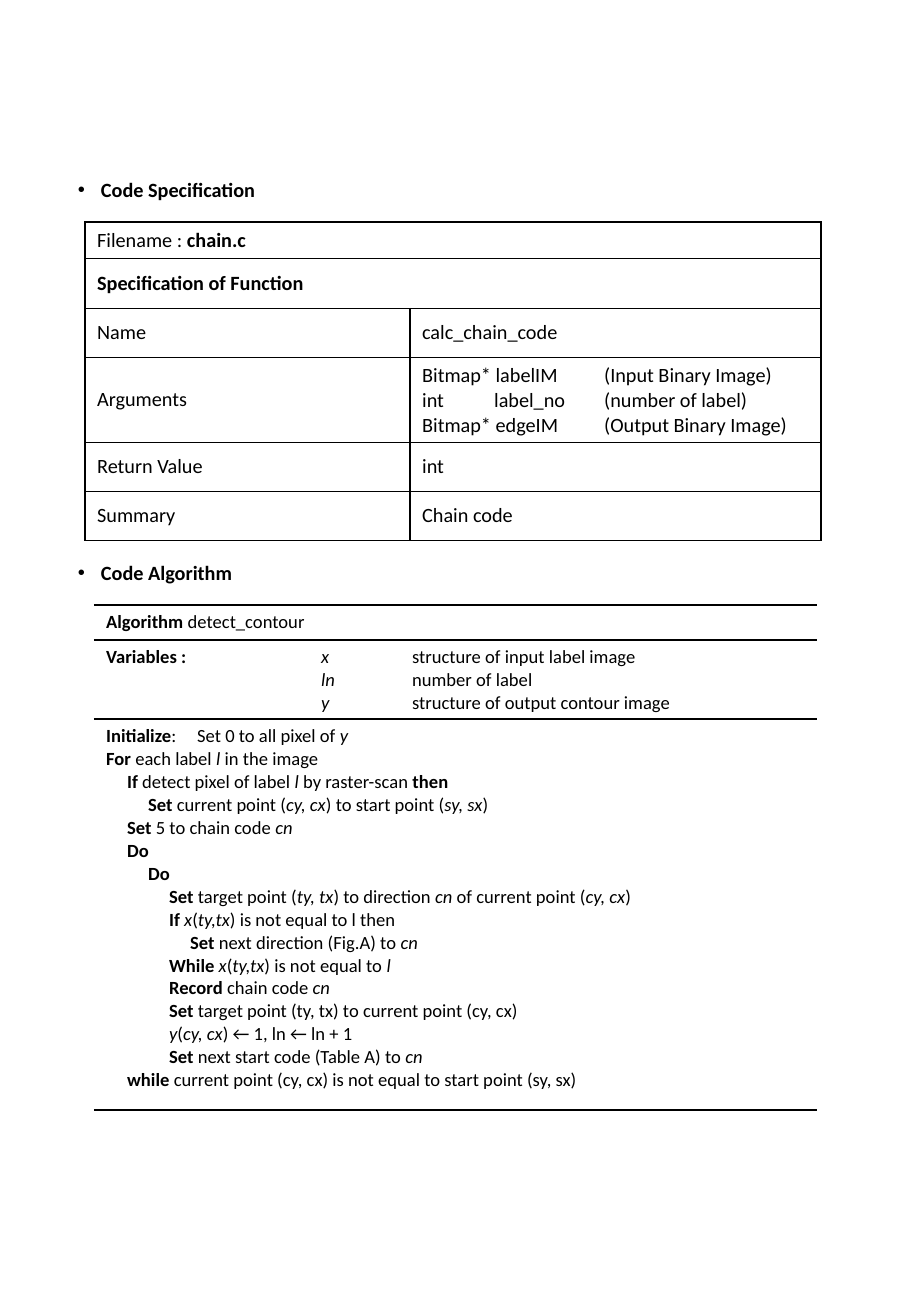
from lxml.etree import SubElement
from pptx import Presentation
from pptx.dml.color import RGBColor
from pptx.enum.text import MSO_ANCHOR as ANCHOR
from pptx.oxml import parse_xml
from pptx.oxml.ns import nsdecls, qn
from pptx.util import Pt

PX = 7526  # EMU per px
FONT = "Calibri"
BLACK = "000000"
PLAIN_TABLE = "{2D5ABB26-0587-4C30-8999-92F81FD0307C}"
TAB = 91
LEVEL = 21

# Markup: ^bold^, ~italic~; algorithm lines carry their indent level
SPECIFICATION = [
    ["Filename : ^chain.c^"],
    ["^Specification of Function^"],
    ["Name", "calc_chain_code"],
    ["Arguments", "Bitmap* labelIM\t(Input Binary Image)\n"
                  "int\tlabel_no\t(number of label)\n"
                  "Bitmap* edgeIM\t(Output Binary Image)"],
    ["Return Value", "int"],
    ["Summary", "Chain code"],
]
VARIABLES = ("~x~ \tstructure of input label image\n"
             "~ln~ \tnumber of label\n"
             "~y~ \tstructure of output contour image")
STEPS = [
    (0, "^Initialize^: \tSet 0 to all pixel of ~y~"),
    (0, "^For^ each label ~l~ in the image"),
    (1, "^If^ detect pixel of label ~l~ by raster-scan ^then^"),
    (2, "^Set^ current point (~cy, cx~) to start point (~sy, sx~)"),
    (1, "^Set^ 5 to chain code ~cn~"),
    (1, "^Do^"),
    (2, "^Do^"),
    (3, "^Set^ target point (~ty, tx~) to direction ~cn~ of current point (~cy, cx~)"),
    (3, "^If^ ~x~(~ty,tx~) is not equal to l then"),
    (4, "^Set^ next direction (Fig.A) to ~cn~"),
    (3, "^While^ ~x~(~ty,tx~) is not equal to ~l~"),
    (3, "^Record^ chain code ~cn~"),
    (3, "^Set^ target point (ty, tx) to current point (cy, cx)"),
    (3, "~y~(~cy, cx~) ← 1, ln ← ln + 1"),
    (3, "^Set^ next start code (Table A) to ~cn~"),
    (1, "^while^ current point (cy, cx) is not equal to start point (sy, sx)"),
]


def px(n):
    return n * PX


def color(hex_code):
    return RGBColor.from_string(hex_code)


def write(tf, text, size=12, levels=None, tabs=(), bullet=None):
    """Fill a text frame with one paragraph per line of marked-up text."""
    for n, line in enumerate(text.split("\n")):
        p = tf.paragraphs[0] if n == 0 else tf.add_paragraph()
        pPr = p._p.get_or_add_pPr()
        if levels and levels[n]:
            pPr.set("marL", str(px(levels[n] * LEVEL)))
        if bullet:
            pPr.set("marL", str(px(23)))
            pPr.set("indent", str(px(-23)))
            SubElement(pPr, qn("a:buFont"), typeface="Arial")
            SubElement(pPr, qn("a:buChar"), char=bullet)
        if tabs:
            tab_list = SubElement(pPr, qn("a:tabLst"))
            for pos in tabs:
                SubElement(tab_list, qn("a:tab"), pos=str(px(pos)), algn="l")
        for i, part in enumerate(line.split("^")):
            for j, piece in enumerate(part.split("~")):
                if piece:
                    r = p.add_run()
                    r.text = piece
                    r.font.name, r.font.size = FONT, Pt(size)
                    r.font.bold, r.font.italic = i % 2 == 1, j % 2 == 1
                    r.font.color.rgb = color(BLACK)


def border(cell, sides):
    """Draw 1 pt lines on the given sides, named by L, R, T and B."""
    cell.fill.background()
    tcPr = cell._tc.get_or_add_tcPr()
    for n, side in enumerate(s for s in "LRTB" if s in sides):
        tcPr.insert(n, parse_xml(
            f'<a:ln{side} {nsdecls("a")} w="{Pt(1)}"><a:solidFill>'
            f'<a:srgbClr val="{BLACK}"/></a:solidFill></a:ln{side}>'))


def add_plain_table(slide, x, y, widths, heights):
    table = slide.shapes.add_table(len(heights), len(widths), px(x), px(y),
                                   px(sum(widths)), px(sum(heights))).table
    table.first_row = table.horz_banding = False
    table._tbl.tblPr.find(qn("a:tableStyleId")).text = PLAIN_TABLE
    for col, w in zip(table.columns, widths):
        col.width = px(w)
    for row, h in zip(table.rows, heights):
        row.height = px(h)
    return table


def heading(slide, x, y, w, h, text):
    tf = slide.shapes.add_textbox(px(x), px(y), px(w), px(h)).text_frame
    tf.word_wrap = True
    write(tf, f"^{text}^", bullet="•")


def specification(slide, x, y, w, h):
    heading(slide, x, y, w, h, "Code Specification")
    table = add_plain_table(slide, x + 19, y + 51, [325, 411],
                            [36, 50, 49, 85, 49, 49])
    for r, texts in enumerate(SPECIFICATION):
        if len(texts) == 1:
            table.cell(r, 0).merge(table.cell(r, 1))
        for c in range(2):
            cell = table.cell(r, c)
            border(cell, "RTB" if cell.is_spanned else "LRTB")
            cell.vertical_anchor = ANCHOR.MIDDLE
        for c, text in enumerate(texts):
            tabs = (72, 2 * TAB) if "\t" in text else ()
            write(table.cell(r, c).text_frame, text, tabs=tabs)


def algorithm(slide, x, y, w, h):
    heading(slide, x, y, w, h, "Code Algorithm")
    table = add_plain_table(slide, x + 28, y + 51, [215, 508], [35, 79, 391])
    for r, sides in enumerate(["TB", "T", "B"]):
        for c in range(2):
            border(table.cell(r, c), sides)
    for r in (0, 2):
        table.cell(r, 0).merge(table.cell(r, 1))
    title = table.cell(0, 0)
    title.vertical_anchor = ANCHOR.MIDDLE
    write(title.text_frame, "^Algorithm^ detect_contour", size=11)
    write(table.cell(1, 0).text_frame, "^Variables :^", size=11)
    write(table.cell(1, 1).text_frame, VARIABLES, size=11, tabs=(TAB,))
    levels, lines = zip(*STEPS)
    write(table.cell(2, 0).text_frame, "\n".join(lines), size=11,
          levels=levels, tabs=(TAB,))


def main():
    prs = Presentation()
    prs.slide_width, prs.slide_height = px(911), px(1316)
    slide = prs.slides.add_slide(prs.slide_layouts[6])
    specification(slide, 66, 171, 779, 380)
    algorithm(slide, 66, 554, 779, 527)
    prs.save("out.pptx")


if __name__ == "__main__":
    main()
